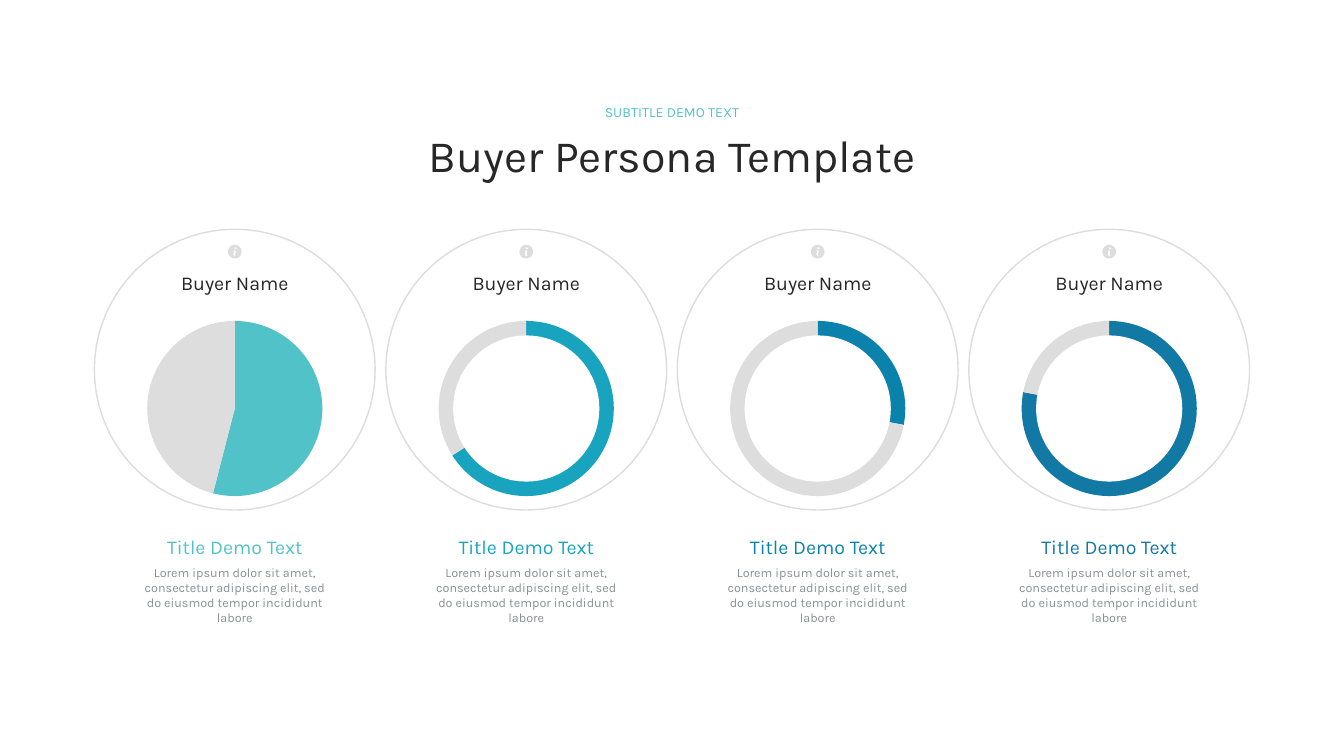
"""Build a buyer persona slide with four pie charts in circles."""
from math import cos, pi, sin

from lxml.etree import SubElement
from pptx import Presentation
from pptx.chart.data import CategoryChartData
from pptx.dml.color import RGBColor
from pptx.enum.chart import XL_CHART_TYPE
from pptx.enum.shapes import MSO_SHAPE
from pptx.enum.text import MSO_ANCHOR, MSO_AUTO_SIZE, PP_ALIGN
from pptx.oxml.ns import qn
from pptx.util import Pt

COLORS = {
    "ink": "262726",
    "muted": "8C9097",
    "pale": "DDDDDD",
    "white": "FFFFFF",
    "aqua": "52C2C9",
    "teal": "18A4BE",
    "blue": "0B82AC",
    "navy": "1179A3",
}
BUYERS = [("aqua", 54, False), ("teal", 66, True), ("blue", 28, True), ("navy", 78, True)]
SLIDE_WIDTH, SLIDE_HEIGHT = 1920, 1080
COLUMN_PITCH = 416.4
RING_SIZE, PIE_SIZE, HOLE_SIZE = 401, 252.7, 208.8
RING_MIDDLE, PIE_MIDDLE, ICON_MIDDLE = 528.1, 583.6, 359.6
DESCRIPTION = (
    "Lorem ipsum dolor sit amet, consectetur adipiscing elit, "
    "sed do eiusmod tempor incididunt labore"
)
LETTER_STEM = [
    (-0.8, -1.8), (0.8, -1.8), (1.5, -0.9), (1.4, 0.9), (0.6, 3.3),
    (0.8, 4.7), (2.1, 4.6), (2, 5.3), (0.3, 5.9), (-1.4, 5.6),
    (-2.1, 3.3), (-0.8, 0.3), (-1.4, -0.8), (-2.9, -1.1), (-2.7, -1.4),
]


def color(name):
    """Return a named colour."""
    return RGBColor.from_string(COLORS[name])


def place(shape, center, top, width, height):
    """Centre a shape horizontally at the given point."""
    shape.left, shape.top = Pt(center - width / 2), Pt(top)
    shape.width, shape.height = Pt(width), Pt(height)


def add_text(slide, text, center, top, width, height, size, color_name, shape=None):
    """Write centred text in a placeholder or a new text box."""
    if shape is None:
        shape = slide.shapes.add_textbox(0, 0, 0, 0)
    frame = shape.text_frame
    frame.word_wrap = True
    frame.auto_size = MSO_AUTO_SIZE.SHAPE_TO_FIT_TEXT
    frame.vertical_anchor = MSO_ANCHOR.TOP
    frame.margin_left = frame.margin_right = Pt(7.2)
    frame.margin_top = frame.margin_bottom = Pt(7.2)
    paragraph = frame.paragraphs[0]
    paragraph.alignment = PP_ALIGN.CENTER
    paragraph.space_before = Pt(0)
    run = paragraph.add_run()
    run.text = text
    run.font.name = "Karla"
    run.font.size = Pt(size)
    run.font.color.rgb = color(color_name)
    place(shape, center, top, width, height)


def add_circle(slide, center, middle, size, fill=None, line=None):
    """Draw a circle with an optional fill and outline."""
    circle = slide.shapes.add_shape(MSO_SHAPE.OVAL, 0, 0, 0, 0)
    place(circle, center, middle - size / 2, size, size)
    circle.shadow.inherit = False
    if fill:
        circle.fill.solid()
        circle.fill.fore_color.rgb = color(fill)
    else:
        circle.fill.background()
    if line:
        circle.line.color.rgb = color(line)
        circle.line.width = Pt(2)
    else:
        circle.line.fill.background()


def add_pie(slide, center, share, color_name):
    """Add a pie chart of one share and its remainder."""
    data = CategoryChartData()
    data.categories = ["1", "2"]
    data.add_series("Series 1", (share, 100 - share))
    frame = slide.shapes.add_chart(
        XL_CHART_TYPE.PIE,
        Pt(center - PIE_SIZE / 2), Pt(PIE_MIDDLE - PIE_SIZE / 2),
        Pt(PIE_SIZE), Pt(PIE_SIZE), data,
    )
    chart = frame.chart
    chart.has_title = chart.has_legend = False
    chart.font.name, chart.font.size = "Calibri", Pt(10)
    chart.font.color.rgb = color("ink")
    plot = chart.plots[0]
    plot.vary_by_categories = False
    series = plot.series[0]
    for part in (series, series.points[0], series.points[1]):
        part.format.fill.solid()
        part.format.fill.fore_color.rgb = color(color_name)
        part.format.line.fill.background()
    series.points[1].format.fill.fore_color.rgb = color("pale")
    fill_plot_area(chart)


def fill_plot_area(chart):
    """Let the pie fill its frame."""
    plot_area = chart.element.find(".//" + qn("c:plotArea"))
    layout = plot_area.find(qn("c:layout"))
    if layout is None:
        layout = SubElement(plot_area, qn("c:layout"))
        plot_area.insert(0, layout)
    manual = SubElement(layout, qn("c:manualLayout"))
    settings = {
        "layoutTarget": "inner", "xMode": "edge", "yMode": "edge",
        "x": "0.005", "y": "0.005", "w": "0.99", "h": "0.99",
    }
    for tag, value in settings.items():
        SubElement(manual, qn("c:" + tag)).set("val", value)


def circle_points(x, y, radius, count):
    """Return evenly spaced points on a circle."""
    angles = [2 * pi * index / count for index in range(count)]
    return [(x + radius * cos(angle), y + radius * sin(angle)) for angle in angles]


def add_info_icon(slide, center):
    """Draw a disc with the letter i cut out."""
    contours = [circle_points(0, 0, 9.7, 60), circle_points(0.9, -4.9, 1.5, 20), LETTER_STEM]
    builder = None
    for contour in contours:
        points = [(round(x * 100), round(y * 100)) for x, y in contour]
        if builder is None:
            builder = slide.shapes.build_freeform(*points[0], scale=Pt(1) / 100)
        else:
            builder.move_to(*points[0])
        builder.add_line_segments(points[1:], close=True)
    icon = builder.convert_to_shape(Pt(center), Pt(ICON_MIDDLE))
    icon.shadow.inherit = False
    icon.fill.solid()
    icon.fill.fore_color.rgb = color("pale")
    icon.line.fill.background()


def add_buyer(slide, center, color_name, share, hollow):
    """Add one buyer column."""
    add_pie(slide, center, share, color_name)
    if hollow:
        add_circle(slide, center, PIE_MIDDLE, HOLE_SIZE, fill="white")
    add_circle(slide, center, RING_MIDDLE, RING_SIZE, line="pale")
    add_info_icon(slide, center)
    add_text(slide, "Buyer Name", center, top=379.4, width=230, height=48,
             size=28, color_name="ink")
    add_text(slide, "Title Demo Text", center, top=757.4, width=229, height=48,
             size=28, color_name=color_name)
    add_text(slide, DESCRIPTION, center, top=800, width=290, height=79,
             size=18, color_name="muted")


def main():
    """Build and save the presentation."""
    presentation = Presentation()
    presentation.slide_width, presentation.slide_height = Pt(SLIDE_WIDTH), Pt(SLIDE_HEIGHT)
    slide = presentation.slides.add_slide(presentation.slide_layouts[0])
    slide.background.fill.solid()
    slide.background.fill.fore_color.rgb = color("white")
    middle = SLIDE_WIDTH / 2
    add_text(slide, "Buyer Persona Template", middle, top=175, width=902, height=92,
             size=64, color_name="ink", shape=slide.shapes.title)
    add_text(slide, "SUBTITLE DEMO TEXT", middle, top=141, width=539, height=39,
             size=20, color_name="aqua", shape=slide.placeholders[1])
    for index, (color_name, share, hollow) in enumerate(BUYERS):
        center = middle + (index - (len(BUYERS) - 1) / 2) * COLUMN_PITCH
        add_buyer(slide, center, color_name, share, hollow)
    presentation.save("out.pptx")


main()
